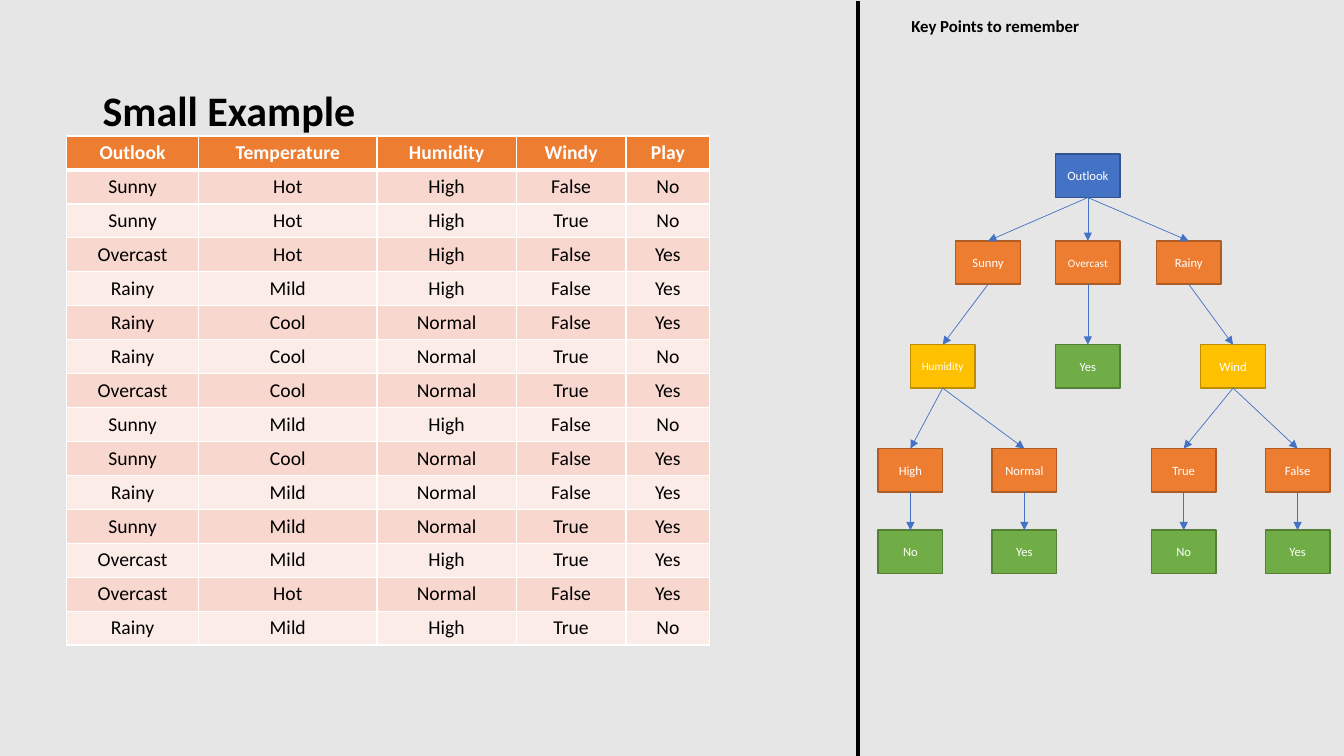
"""Build a slide with the play-tennis data table and its decision tree."""
from lxml.etree import SubElement
from pptx import Presentation
from pptx.dml.color import RGBColor
from pptx.enum.shapes import MSO_CONNECTOR, MSO_SHAPE
from pptx.enum.text import MSO_ANCHOR, PP_ALIGN
from pptx.oxml import parse_xml
from pptx.oxml.ns import nsdecls, qn
from pptx.util import Inches, Pt

FONT = "Calibri"
TITLE = "Small Example"
SIDE_HEADING = "Key Points to remember"
HEADER = ["Outlook", "Temperature", "Humidity", "Windy", "Play"]
DAYS = [
    ["Sunny", "Hot", "High", "False", "No"],
    ["Sunny", "Hot", "High", "True", "No"],
    ["Overcast", "Hot", "High", "False", "Yes"],
    ["Rainy", "Mild", "High", "False", "Yes"],
    ["Rainy", "Cool", "Normal", "False", "Yes"],
    ["Rainy", "Cool", "Normal", "True", "No"],
    ["Overcast", "Cool", "Normal", "True", "Yes"],
    ["Sunny", "Mild", "High", "False", "No"],
    ["Sunny", "Cool", "Normal", "False", "Yes"],
    ["Rainy", "Mild", "Normal", "False", "Yes"],
    ["Sunny", "Mild", "Normal", "True", "Yes"],
    ["Overcast", "Mild", "High", "True", "Yes"],
    ["Overcast", "Hot", "Normal", "False", "Yes"],
    ["Rainy", "Mild", "High", "True", "No"],
]
COLUMN_WIDTHS = [1.31, 1.77, 1.38, 1.09, 0.83]
TABLE_LEFT, TABLE_TOP, TABLE_HEIGHT = 0.66, 1.35, 5.05
HEADER_FILL, BAND_FILLS = "ED7D31", ["F8D7CE", "FCECE8"]

NODE_WIDTH, NODE_HEIGHT = 0.64, 0.43
LEVEL_TOPS = [1.53, 2.39, 3.42, 4.45, 5.26]
STYLES = {
    "root": ("4472C4", "325491"),
    "value": ("ED7D31", "AF5C24"),
    "test": ("FFC000", "BD8E00"),
    "answer": ("70AD47", "538035"),
}
TREE = ("Outlook", "root", 10.47, [
    ("Sunny", "value", 9.48, [
        ("Humidity", "test", 9.03, [
            ("High", "value", 8.71, [("No", "answer", 8.71, [])]),
            ("Normal", "value", 9.84, [("Yes", "answer", 9.84, [])]),
        ]),
    ]),
    ("Overcast", "value", 10.47, [("Yes", "answer", 10.47, [])]),
    ("Rainy", "value", 11.47, [
        ("Wind", "test", 11.91, [
            ("True", "value", 11.42, [("No", "answer", 11.42, [])]),
            ("False", "value", 12.55, [("Yes", "answer", 12.55, [])]),
        ]),
    ]),
])


def color(hex_code):
    return RGBColor.from_string(hex_code)


def write(frame, text, size, hex_code, bold=False, align=None):
    para = frame.paragraphs[0]
    para.text = text
    para.alignment = align
    para.font.name = FONT
    para.font.size = Pt(size)
    para.font.bold = bold
    para.font.color.rgb = color(hex_code)
    return para


def add_text(page, box_place, text, size, wrap, anchor):
    box = page.shapes.add_textbox(*(Inches(length) for length in box_place))
    box.text_frame.word_wrap = wrap
    box.text_frame.vertical_anchor = anchor
    return write(box.text_frame, text, size, "000000", bold=True)


def add_line(page, ends, hex_code, width):
    line = page.shapes.add_connector(
        MSO_CONNECTOR.STRAIGHT, *(Inches(length) for length in ends))
    line.line.color.rgb = color(hex_code)
    line.line.width = Pt(width)
    SubElement(line._element.spPr, qn("a:effectLst"))
    return line


def set_borders(cell, top, bottom):
    properties = cell._tc.get_or_add_tcPr()
    widths = {"lnL": 1, "lnR": 1, "lnT": top, "lnB": bottom}
    for position, (side, width) in enumerate(widths.items()):
        properties.insert(position, parse_xml(
            f'<a:{side} {nsdecls("a")} w="{Pt(width)}"><a:solidFill>'
            f'<a:srgbClr val="FFFFFF"/></a:solidFill></a:{side}>'))


def add_data_table(page):
    rows = [HEADER] + DAYS
    table = page.shapes.add_table(
        len(rows), len(HEADER), Inches(TABLE_LEFT), Inches(TABLE_TOP),
        Inches(sum(COLUMN_WIDTHS)), Inches(TABLE_HEIGHT)).table
    for column, width in zip(table.columns, COLUMN_WIDTHS):
        column.width = Inches(width)
    for r, values in enumerate(rows):
        is_header = r == 0
        fill = HEADER_FILL if is_header else BAND_FILLS[(r - 1) % 2]
        for c, value in enumerate(values):
            cell = table.cell(r, c)
            cell.fill.solid()
            cell.fill.fore_color.rgb = color(fill)
            set_borders(cell, 3 if r == 1 else 1, 3 if is_header else 1)
            write(cell.text_frame, value, 14,
                  "FFFFFF" if is_header else "000000", is_header, PP_ALIGN.CENTER)


def add_branch(page, branch, level=0):
    label, kind, left, children = branch
    fill, outline = STYLES[kind]
    node = page.shapes.add_shape(
        MSO_SHAPE.RECTANGLE, Inches(left), Inches(LEVEL_TOPS[level]),
        Inches(NODE_WIDTH), Inches(NODE_HEIGHT))
    node.shadow.inherit = False
    node.fill.solid()
    node.fill.fore_color.rgb = color(fill)
    node.line.color.rgb = color(outline)
    node.line.width = Pt(1)
    frame = node.text_frame
    frame.margin_left = frame.margin_right = 0
    frame.vertical_anchor = MSO_ANCHOR.MIDDLE
    write(frame, label, 8 if len(label) > 7 else 9, "FFFFFF", align=PP_ALIGN.CENTER)
    for child in children:
        child_node = add_branch(page, child, level + 1)
        arrow = add_line(page, (0, 0, 1, 1), "4472C4", 0.5)
        arrow.begin_connect(node, 2)
        arrow.end_connect(child_node, 0)
        SubElement(arrow.line._get_or_add_ln(), qn("a:tailEnd"), type="triangle")
    return node


def main():
    deck = Presentation()
    deck.slide_width, deck.slide_height = Inches(13.33), Inches(7.5)
    page = deck.slides.add_slide(deck.slide_layouts[6])
    page.background.fill.solid()
    page.background.fill.fore_color.rgb = color("E7E6E6")
    title = add_text(page, (0.92, 0.4, 11.5, 1.45), TITLE, 30, True, MSO_ANCHOR.MIDDLE)
    title.line_spacing = 0.9
    add_line(page, (8.51, 0.01, 8.51, 7.5), "000000", 3)
    add_text(page, (8.94, 0.11, 1.88, 0.49), SIDE_HEADING, 12, False, MSO_ANCHOR.TOP)
    add_data_table(page)
    add_branch(page, TREE)
    deck.save("out.pptx")


if __name__ == "__main__":
    main()
